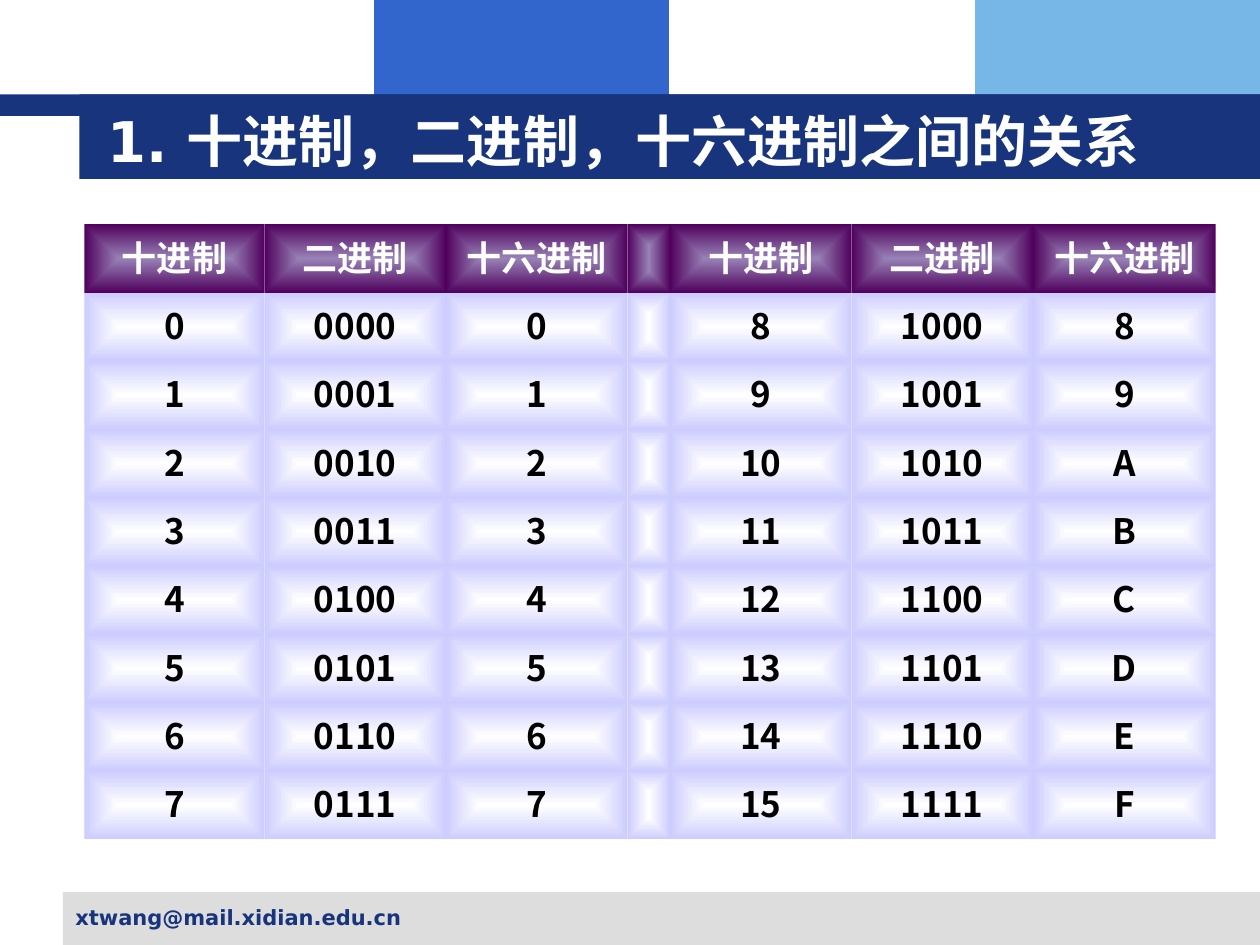
from lxml import etree
from pptx import Presentation
from pptx import util as u
from pptx.dml.color import RGBColor
from pptx.enum import shapes, text
from pptx.oxml import ns

NAVY = RGBColor(0x17, 0x34, 0x7D)
BLUE = RGBColor(0x33, 0x66, 0xCC)
SKY = RGBColor(0x77, 0xB7, 0xE7)
GRAY = RGBColor(0xDD, 0xDD, 0xDD)
WHITE = RGBColor(0xFF, 0xFF, 0xFF)
BLACK = RGBColor(0x00, 0x00, 0x00)
LILAC = RGBColor(0xCC, 0xCC, 0xFF)
MAUVE = RGBColor(0x97, 0x82, 0xB6)
PURPLE = RGBColor(0x50, 0x01, 0x5D)

LATIN_FONT = "DejaVu Sans"
HAN_FONT = "Noto Sans CJK SC"
SERIF_FONT = "Vollkorn"
NO_GRID_STYLE = "{2D5ABB26-0587-4C30-8999-92F81FD0307C}"


class SlideBuilder:
    """Holds the text style and the current slide."""

    def __init__(self, slide):
        self.slide = slide

    def format(self, para, size, color, font=LATIN_FONT, align=text.PP_ALIGN.LEFT):
        para.alignment = align
        for span in para.runs:
            span.font.size = u.Pt(size)
            span.font.bold = True
            span.font.name = font
            span.font.color.rgb = color
            han = etree.Element(ns.qn("a:ea"), typeface=HAN_FONT)
            span.font._element.find(ns.qn("a:latin")).addnext(han)

    def bar(self, parent, left, top, width, height, color):
        box = parent.add_shape(shapes.MSO_SHAPE.RECTANGLE, u.Inches(left),
                               u.Inches(top), u.Inches(width), u.Inches(height))
        box.shadow.inherit = False
        box.fill.solid()
        box.fill.fore_color.rgb = color
        box.line.fill.background()

    def title(self, words, left, top, width, height):
        box = self.slide.shapes.title
        box.left, box.top = u.Inches(left), u.Inches(top)
        box.width, box.height = u.Inches(width), u.Inches(height)
        frame = box.text_frame
        frame.text = words
        frame.auto_size = text.MSO_AUTO_SIZE.NONE
        frame.vertical_anchor = text.MSO_ANCHOR.MIDDLE
        self.format(frame.paragraphs[0], 32, WHITE)
        # Bring the title in front of the bars
        self.slide.shapes._spTree.append(box._element)

    def label(self, words, left, top, width, height):
        box = self.slide.shapes.add_textbox(u.Inches(left), u.Inches(top),
                                            u.Inches(width), u.Inches(height))
        box.text_frame.word_wrap = True
        box.text_frame.text = words
        self.format(box.text_frame.paragraphs[0], 12, NAVY)

    def glow(self, cell, center, edge):
        """Fill a cell with a gradient that runs from its center to its edge."""
        props = cell._tc.get_or_add_tcPr()
        fill = etree.SubElement(props, ns.qn("a:gradFill"), rotWithShape="1")
        stops = etree.SubElement(fill, ns.qn("a:gsLst"))
        for position, color in (("0", center), ("100000", edge)):
            stop = etree.SubElement(stops, ns.qn("a:gs"), pos=position)
            etree.SubElement(stop, ns.qn("a:srgbClr"), val=str(color))
        shade = etree.SubElement(fill, ns.qn("a:path"))
        shade.set("path", "shape")
        etree.SubElement(shade, ns.qn("a:fillToRect"),
                         dict.fromkeys("ltrb", "50000"))

    def table(self, rows, widths, left, top, height):
        frame = self.slide.shapes.add_table(
            len(rows), len(widths), u.Inches(left), u.Inches(top),
            u.Inches(sum(widths)), u.Inches(height))
        grid = frame.table
        grid._tbl.tblPr.find(ns.qn("a:tableStyleId")).text = NO_GRID_STYLE
        grid.horz_banding = False
        for column, width in zip(grid.columns, widths):
            column.width = u.Inches(width)
        for r, values in enumerate(rows):
            for c, value in enumerate(values):
                cell = grid.cell(r, c)
                cell.text = value
                header = r == 0
                font = SERIF_FONT if header and c >= 5 else HAN_FONT
                self.format(cell.text_frame.paragraphs[0], 20,
                            WHITE if header else BLACK, font,
                            text.PP_ALIGN.CENTER)
                self.glow(cell, *((MAUVE, PURPLE) if header else (WHITE, LILAC)))


def number_row(number):
    """The decimal, binary and hexadecimal forms of a number."""
    return [str(number), f"{number:04b}", f"{number:X}"]


def main():
    deck = Presentation()
    deck.slide_width, deck.slide_height = u.Inches(10), u.Inches(7.5)
    page = deck.slides.add_slide(deck.slide_layouts[5])
    builder = SlideBuilder(page)

    # Footer band and top blocks
    builder.bar(page.shapes, 0.5, 7.08, 9.5, 0.42, GRAY)
    builder.bar(page.shapes, 7.74, 0, 2.26, 0.92, SKY)
    builder.bar(page.shapes, 2.97, 0, 2.34, 0.92, BLUE)

    # Title band
    band = page.shapes.add_group_shape()
    builder.bar(band.shapes, 0, 0.75, 10, 0.17, NAVY)
    builder.bar(band.shapes, 0.63, 0.75, 9.37, 0.67, NAVY)
    builder.title("1. 十进制，二进制，十六进制之间的关系", 0.75, 0.8, 8.92, 0.62)

    # Footer address
    builder.label("xtwang@mail.xidian.edu.cn", 0.5, 7.13, 2.93, 0.35)

    # Number table: 0 to 7 on the left, 8 to 15 on the right
    names = ["十进制", "二进制", "十六进制"]
    rows = [names + [""] + names]
    rows += [number_row(n) + [""] + number_row(n + 8) for n in range(8)]
    widths = [1.43, 1.44, 1.44, 0.34, 1.44, 1.44, 1.45]
    builder.table(rows, widths, 0.67, 1.78, 4.88)

    deck.save("out.pptx")


if __name__ == "__main__":
    main()
